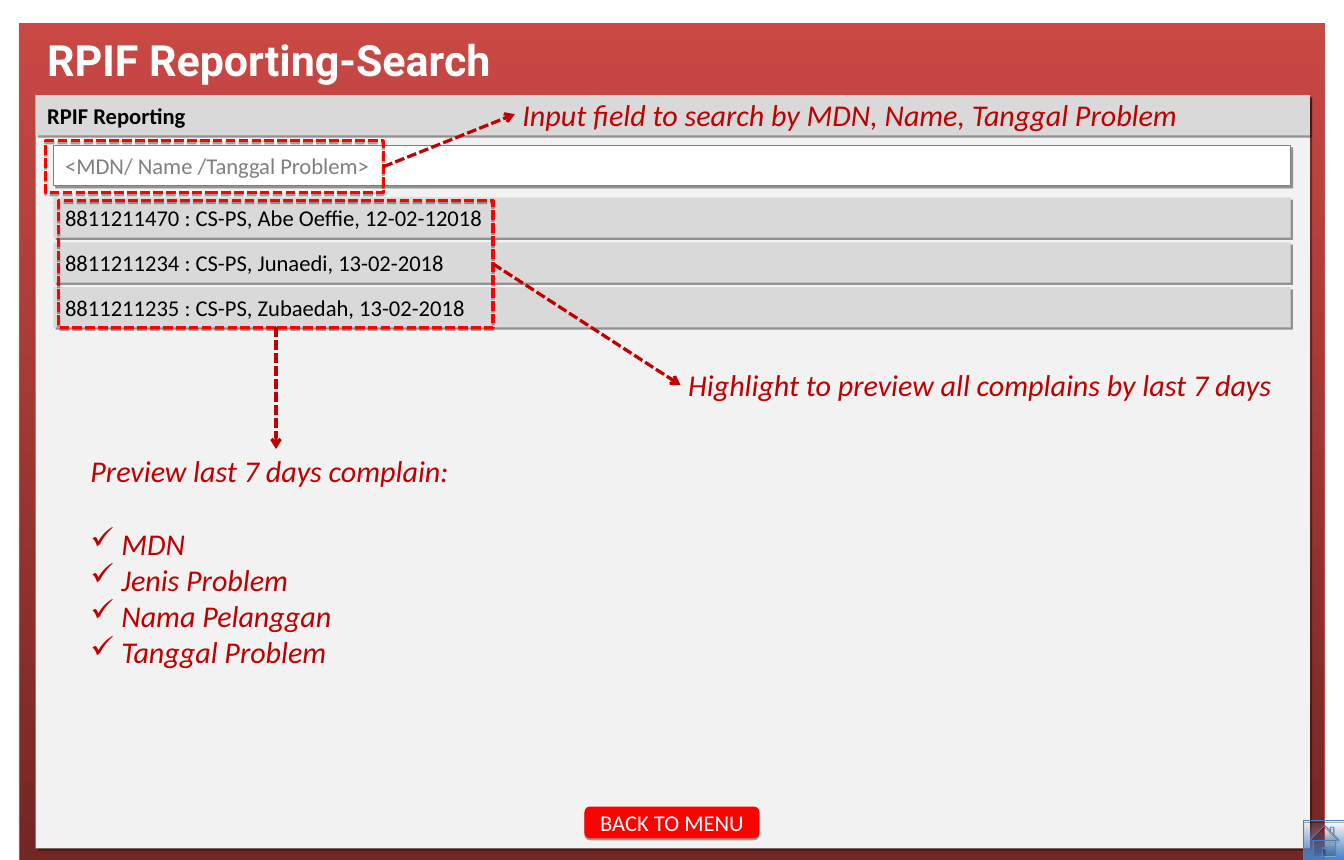
from dataclasses import dataclass

from lxml.etree import SubElement
from pptx import Presentation
from pptx.dml.color import RGBColor
from pptx.enum.dml import MSO_LINE
from pptx.enum.shapes import MSO_CONNECTOR, MSO_SHAPE
from pptx.enum.text import MSO_ANCHOR, PP_ALIGN
from pptx.oxml.ns import qn
from pptx.util import Pt

PX = 9144  # EMU per px, 100 px to the inch
TOP, LEFT, BOTTOM, RIGHT = range(4)


@dataclass(frozen=True)
class Theme:
    font: str = "Calibri"
    title_font: str = "Roboto"
    title_size: int = 40
    note_size: int = 28
    body_size: int = 21
    white: str = "FFFFFF"
    black: str = "000000"
    panel: str = "F2F2F2"
    bar: str = "D9D9D9"
    hint: str = "7F7F7F"
    red: str = "FF0000"
    note: str = "C00000"
    frame_line: str = "BE4B48"
    frame_fill: tuple = ("742624", "C94844")
    home_line: str = "4A7EBB"
    home_fill: tuple = ("3F80CD", "9BC1FF")
    deep_shadow: tuple = (40, 3, 45)  # opacity %, distance pt, angle
    soft_shadow: tuple = (35, 1.8, 90)


def rgb(color):
    return RGBColor.from_string(color)


def add_xml(parent, tag, **attrs):
    return SubElement(parent, qn(tag), {k: str(v) for k, v in attrs.items()})


class Page:
    def __init__(self, prs, theme):
        self.theme = theme
        self.s = prs.slides.add_slide(prs.slide_layouts[6])

    def shape(self, x, y, w, h, fill=None, line=None, weight=0.75, dash=None,
              shadow=None, kind=MSO_SHAPE.RECTANGLE):
        """Add a preset shape; a pair of colours as fill runs from bottom to top."""
        sp = self.s.shapes.add_shape(kind, x * PX, y * PX, w * PX, h * PX)
        if fill is None:
            sp.fill.background()
        elif isinstance(fill, tuple):
            sp.fill.gradient()
            sp.fill.gradient_angle = 90
            for stop, color in zip(sp.fill.gradient_stops, fill):
                stop.color.rgb = rgb(color)
        else:
            sp.fill.solid()
            sp.fill.fore_color.rgb = rgb(fill)
        if line:
            self.stroke(sp, line, weight, dash)
        else:
            sp.line.fill.background()
        sp.shadow.inherit = False
        if shadow:
            self.cast(sp, *shadow)
        return sp

    def stroke(self, sp, color, weight, dash=None):
        sp.line.color.rgb = rgb(color)
        sp.line.width = Pt(weight)
        if dash:
            sp.line.dash_style = dash

    def cast(self, sp, opacity, distance, angle):
        effects = sp.element.spPr.find(qn("a:effectLst"))
        shadow = add_xml(effects, "a:outerShdw", blurRad=0, dist=Pt(distance),
                         dir=angle * 60000, rotWithShape=0)
        color = add_xml(shadow, "a:srgbClr", val=self.theme.black)
        add_xml(color, "a:alpha", val=opacity * 1000)

    def frame(self, sp, inset_x, inset_y, anchor):
        tf = sp.text_frame
        tf.word_wrap = True
        tf.vertical_anchor = anchor
        tf.margin_left = tf.margin_right = inset_x * PX
        tf.margin_top = tf.margin_bottom = inset_y * PX
        return tf

    def run(self, p, text, size, color, font=None, bold=False, italic=False):
        r = p.add_run()
        r.text = text
        r.font.name = font or self.theme.font
        r.font.size = Pt(size)
        r.font.color.rgb = rgb(color)
        r.font.bold, r.font.italic = bold, italic

    def bar(self, x, y, w, h, text, color, bold=False, align=PP_ALIGN.LEFT, **style):
        """Add a filled shape with one line of body text."""
        sp = self.shape(x, y, w, h, **style)
        p = self.frame(sp, 15, 7, MSO_ANCHOR.MIDDLE).paragraphs[0]
        p.alignment = align
        self.run(p, text, self.theme.body_size, color, bold=bold)
        return sp

    def title(self, x, y, w, h, text):
        t = self.theme
        box = self.s.shapes.add_textbox(x * PX, y * PX, w * PX, h * PX)
        p = self.frame(box, 16, 8, MSO_ANCHOR.MIDDLE).paragraphs[0]
        p.line_spacing = 0.9
        self.run(p, text, t.title_size, t.white, t.title_font, bold=True)

    def note(self, x, y, w, h, text, checks=()):
        """Add an italic remark, with a checked list one line below it."""
        t = self.theme
        box = self.s.shapes.add_textbox(x * PX, y * PX, w * PX, h * PX)
        tf = self.frame(box, 10, 5, MSO_ANCHOR.TOP)
        self.run(tf.paragraphs[0], text, t.note_size, t.note, italic=True)
        for i, check in enumerate(checks):
            p = tf.add_paragraph()
            p.space_before = Pt(0 if i else 34)
            pPr = p._p.get_or_add_pPr()
            pPr.set("marL", str(40 * PX))
            pPr.set("indent", str(-40 * PX))
            add_xml(add_xml(pPr, "a:buClr"), "a:srgbClr", val=t.note)
            add_xml(pPr, "a:buChar", char="✓")
            self.run(p, check, t.note_size, t.note, italic=True)
        return box

    def highlight(self, x, y, w, h):
        return self.shape(x, y, w, h, line=self.theme.red, weight=3,
                          dash=MSO_LINE.SQUARE_DOT, shadow=self.theme.soft_shadow)

    def arrow(self, start, start_side, end, end_side):
        c = self.s.shapes.add_connector(MSO_CONNECTOR.STRAIGHT, 0, 0, 0, 0)
        c.begin_connect(start, start_side)
        c.end_connect(end, end_side)
        self.stroke(c, self.theme.note, 3, MSO_LINE.SQUARE_DOT)
        spPr = c.element.spPr
        add_xml(spPr.find(qn("a:ln")), "a:tailEnd", type="arrow")
        add_xml(spPr, "a:effectLst")

    def home_button(self, x, y, w, h):
        t = self.theme
        sp = self.shape(x, y, w, h, fill=t.home_fill, line=t.home_line,
                        shadow=t.soft_shadow, kind=MSO_SHAPE.ACTION_BUTTON_HOME)
        top_color = list(sp.element.spPr.iter(qn("a:gs")))[-1][0]
        add_xml(top_color, "a:alpha", val=0)


def main():
    prs = Presentation()
    prs.slide_width, prs.slide_height = 1736 * PX, 1111 * PX
    t = Theme()
    page = Page(prs, t)

    page.shape(25, 30, 1686, 1081, fill=t.frame_fill, line=t.frame_line,
               shadow=t.soft_shadow)
    page.shape(46, 123, 1646, 973, fill=t.panel, shadow=t.deep_shadow)
    page.bar(46, 123, 1646, 52, "RPIF Reporting", t.black, bold=True,
             fill=t.bar, shadow=t.deep_shadow)
    page.title(45, 36, 1205, 89, "RPIF Reporting-Search")

    page.bar(69, 188, 1598, 52, "<MDN/ Name /Tanggal Problem>", t.hint,
             fill=t.white, line=t.hint, shadow=t.deep_shadow)
    results = ["8811211470 : CS-PS, Abe Oeffie, 12-02-12018",
               "8811211234 : CS-PS, Junaedi, 13-02-2018",
               "8811211235 : CS-PS, Zubaedah, 13-02-2018"]
    for i, result in enumerate(results):
        page.bar(69, 255 + 58 * i, 1598, 52, result, t.black,
                 fill=t.bar, shadow=t.deep_shadow)

    back = page.bar(755, 1042, 226, 41, "BACK TO MENU", t.white,
                    align=PP_ALIGN.CENTER, fill=t.red, shadow=t.soft_shadow,
                    kind=MSO_SHAPE.ROUNDED_RECTANGLE)
    back.adjustments[0] = 0.17
    page.home_button(1684, 1060, 54, 51)

    search_area = page.highlight(59, 182, 436, 67)
    result_area = page.highlight(76, 259, 561, 164)
    search_note = page.note(665, 119, 930, 57,
                            "Input field to search by MDN, Name, Tanggal Problem")
    result_note = page.note(879, 469, 788, 57,
                            "Highlight to preview all complains by last 7 days")
    preview_note = page.note(107, 580, 499, 290, "Preview last 7 days complain:",
                             ["MDN", "Jenis Problem", "Nama Pelanggan",
                              "Tanggal Problem"])
    page.arrow(search_area, RIGHT, search_note, LEFT)
    page.arrow(result_area, RIGHT, result_note, LEFT)
    page.arrow(result_area, BOTTOM, preview_note, TOP)

    prs.save("out.pptx")


if __name__ == "__main__":
    main()
